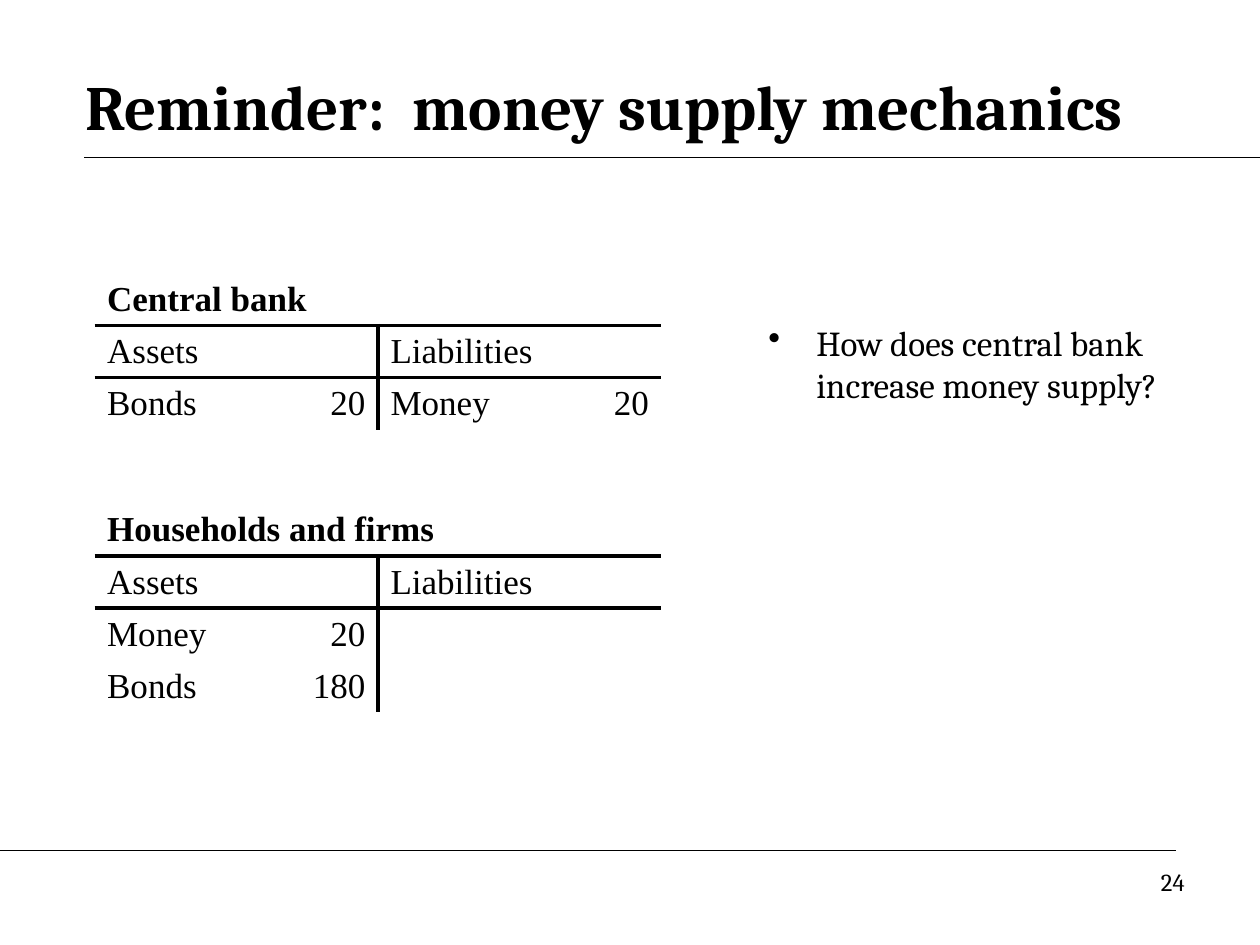
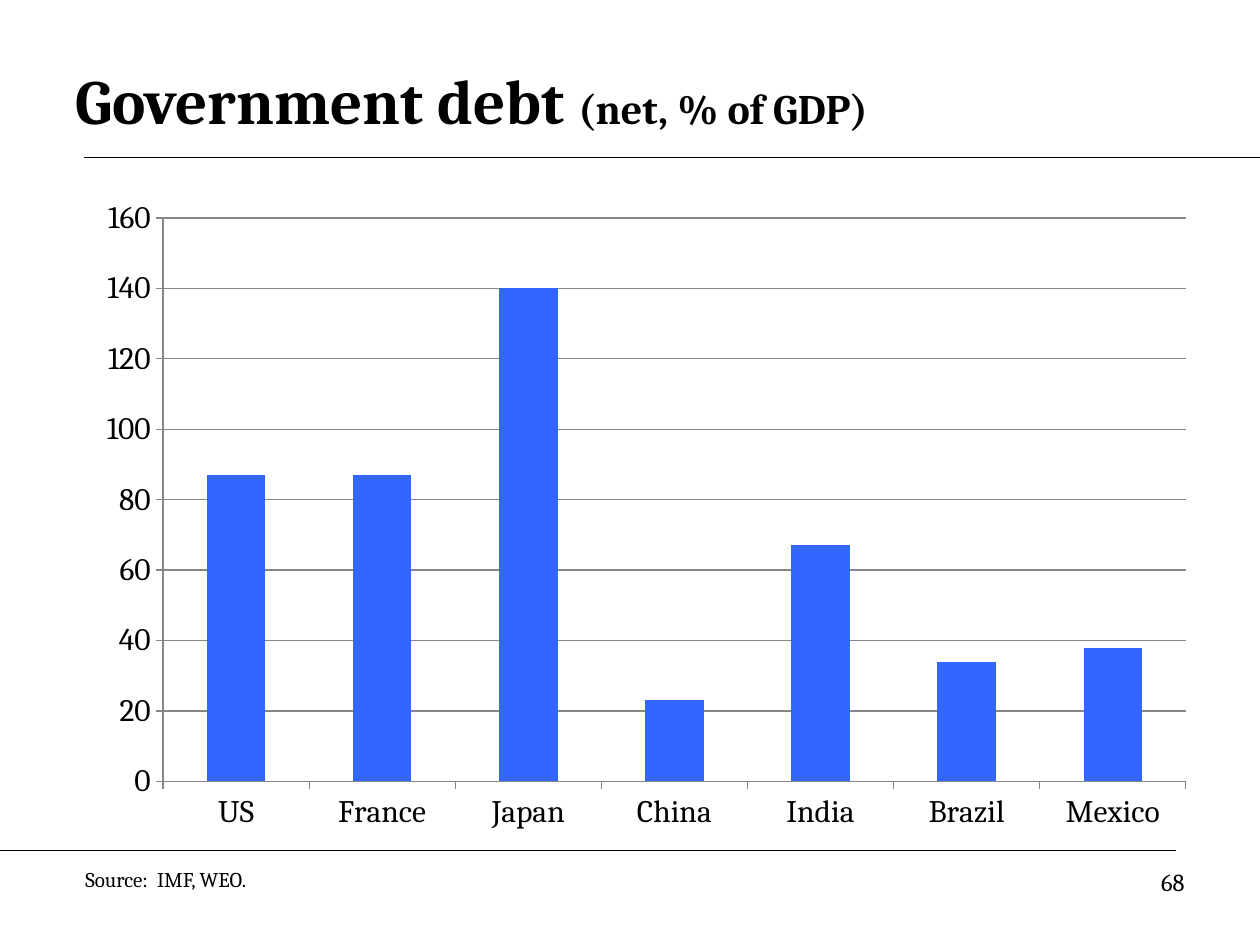
from dataclasses import dataclass

from lxml import etree
from pptx import Presentation
from pptx.chart.data import CategoryChartData
from pptx.dml.color import RGBColor
from pptx.enum.chart import XL_CHART_TYPE, XL_TICK_MARK
from pptx.enum.shapes import MSO_CONNECTOR
from pptx.enum.text import MSO_ANCHOR, PP_ALIGN
from pptx.oxml import parse_xml
from pptx.oxml.ns import nsdecls, qn
from pptx.util import Inches, Pt


@dataclass(frozen=True)
class Theme:
    ink: RGBColor = RGBColor(0x00, 0x00, 0x00)
    bar: RGBColor = RGBColor(0x33, 0x66, 0xFF)
    grid: RGBColor = RGBColor(0x87, 0x87, 0x87)
    font: str = "Cambria"
    table_font: str = "Times New Roman"
    title_size: int = 36
    subtitle_size: int = 24
    body_size: int = 20
    chart_size: int = 18
    number_size: int = 14
    source_size: int = 12
    rule_width: float = 0.75
    border_width: float = 2.25


class Deck:
    """Builds ruled slides in one shared style."""

    def __init__(self, theme):
        self.theme = theme
        self.presentation = Presentation()
        self.presentation.slide_width = Inches(10)
        self.presentation.slide_height = Inches(7.5)
        self.slide = None

    def new_slide(self, number):
        layout = self.presentation.slide_layouts[6]
        self.slide = self.presentation.slides.add_slide(layout)
        self.rule(0.67, 10, 1.25)
        self.rule(0, 9.33, 6.75)
        self.text(str(number), (7.17, 6.83, 2.33, 0.52), self.theme.number_size, PP_ALIGN.RIGHT)

    def rule(self, start, end, top):
        line = self.slide.shapes.add_connector(
            MSO_CONNECTOR.STRAIGHT, Inches(start), Inches(top), Inches(end), Inches(top))
        line.line.color.rgb = self.theme.ink
        line.line.width = Pt(self.theme.rule_width)
        etree.SubElement(line._element.spPr, qn("a:effectLst"))

    def style(self, font, size, name=None, bold=False):
        font.name = name or self.theme.font
        font.size = Pt(size)
        font.bold = bold
        font.color.rgb = self.theme.ink

    def text(self, text, box, size, align=PP_ALIGN.LEFT, bold=False):
        shape = self.slide.shapes.add_textbox(*map(Inches, box))
        shape.text_frame.word_wrap = True
        paragraph = shape.text_frame.paragraphs[0]
        paragraph.text = text
        paragraph.alignment = align
        self.style(paragraph.runs[0].font, size, bold=bold)
        return shape

    def title(self, text, box, subtitle=None):
        shape = self.text(text, box, self.theme.title_size, bold=True)
        shape.text_frame.vertical_anchor = MSO_ANCHOR.MIDDLE
        if subtitle:
            run = shape.text_frame.paragraphs[0].add_run()
            run.text = subtitle
            self.style(run.font, self.theme.subtitle_size, bold=True)

    def bullet(self, text, box):
        shape = self.text(text, box, self.theme.body_size)
        properties = shape.text_frame.paragraphs[0]._p.get_or_add_pPr()
        properties.set("marL", str(Inches(0.38)))
        properties.set("indent", str(-Inches(0.38)))
        etree.SubElement(properties, qn("a:buChar"), char="•")

    def borders(self, cell, shown):
        properties = cell._tc.get_or_add_tcPr()
        for position, side in enumerate("LRTB"):
            paint = "<a:noFill/>"
            if side in shown:
                paint = f'<a:solidFill><a:srgbClr val="{self.theme.ink}"/></a:solidFill>'
            width = Pt(self.theme.border_width)
            properties.insert(position, parse_xml(
                f'<a:ln{side} {nsdecls("a")} w="{width}">{paint}</a:ln{side}>'))

    def balance_sheet(self, top, owner, entries):
        rows = [(owner, "", "", ""), ("Assets", "", "Liabilities", ""), *entries]
        widths = (1.48, 0.77, 1.125, 1.125)
        height = 0.41
        table = self.slide.shapes.add_table(
            len(rows), len(widths), Inches(0.75), Inches(top),
            Inches(sum(widths)), Inches(height * len(rows))).table
        table.first_row = table.horz_banding = False
        for column, width in zip(table.columns, widths):
            column.width = Inches(width)
        for row_index, row in enumerate(rows):
            table.rows[row_index].height = Inches(height)
            for column_index, value in enumerate(row):
                self.sheet_cell(table.cell(row_index, column_index), value,
                                row_index, column_index)
        table.cell(0, 0).merge(table.cell(0, 3))
        table.cell(1, 0).merge(table.cell(1, 1))
        table.cell(1, 2).merge(table.cell(1, 3))

    def sheet_cell(self, cell, value, row, column):
        cell.fill.background()
        cell.margin_top = cell.margin_bottom = Inches(0.04)
        cell.vertical_anchor = MSO_ANCHOR.MIDDLE
        shown = "B" if row < 2 else ""
        if row in (1, 2):
            shown += "T"
        if row and (column == 1 or (row == 1 and column == 0)):
            shown += "R"
        if row and column == 2:
            shown += "L"
        self.borders(cell, shown)
        if value:
            paragraph = cell.text_frame.paragraphs[0]
            paragraph.text = value
            paragraph.alignment = PP_ALIGN.RIGHT if column % 2 else PP_ALIGN.LEFT
            self.style(paragraph.runs[0].font, self.theme.body_size,
                       self.theme.table_font, bold=row == 0)

    def column_chart(self, box, values):
        data = CategoryChartData()
        data.categories = list(values)
        data.add_series("Series 1", list(values.values()))
        chart = self.slide.shapes.add_chart(
            XL_CHART_TYPE.COLUMN_CLUSTERED, *map(Inches, box), data).chart
        chart.has_legend = chart.has_title = False
        self.style(chart.font, self.theme.chart_size)
        plot = chart.plots[0]
        plot.gap_width = 150
        plot.vary_by_categories = False
        fill = plot.series[0].format.fill
        fill.solid()
        fill.fore_color.rgb = self.theme.bar
        value_axis = chart.value_axis
        value_axis.minimum_scale, value_axis.maximum_scale = 0, 160
        value_axis.major_unit = 20
        value_axis.has_major_gridlines = True
        for axis in (chart.category_axis, value_axis):
            axis.major_tick_mark = XL_TICK_MARK.OUTSIDE
        for part in (chart.category_axis, value_axis, value_axis.major_gridlines):
            part.format.line.color.rgb = self.theme.grid
            part.format.line.width = Pt(self.theme.rule_width)
        self.plot_layout(chart, x=0.07, y=0.04, w=0.91, h=0.89)

    def plot_layout(self, chart, **fractions):
        area = chart._chartSpace.chart.plotArea
        for layout in area.findall(qn("c:layout")):
            area.remove(layout)
        modes = '<c:layoutTarget val="inner"/><c:xMode val="edge"/><c:yMode val="edge"/>'
        sizes = "".join(f'<c:{key} val="{value}"/>' for key, value in fractions.items())
        area.insert(0, parse_xml(
            f'<c:layout {nsdecls("c")}><c:manualLayout>{modes}{sizes}'
            "</c:manualLayout></c:layout>"))


def main():
    theme = Theme()
    deck = Deck(theme)

    deck.new_slide(24)
    deck.title("Reminder:  money supply mechanics", (0.58, 0.42, 8.67, 0.83))
    deck.rule(1.25, 10, 1.25)
    deck.rule(0, 7.08, 6.75)
    deck.balance_sheet(2.17, "Central bank", [("Bonds", "20", "Money", "20")])
    deck.balance_sheet(4, "Households and firms",
                       [("Money", "20", "", ""), ("Bonds", "180", "", "")])
    deck.bullet("How does central bank increase money supply?", (6, 2.5, 3.42, 4))

    deck.new_slide(68)
    deck.title("Government debt ", (0.5, 0.33, 9, 0.92), "(net, % of GDP)")
    deck.column_chart((0.67, 1.53, 8.92, 5.06), {
        "US": 87, "France": 87, "Japan": 140, "China": 23,
        "India": 67, "Brazil": 34, "Mexico": 38})
    deck.text("Source:  IMF, WEO.", (0.58, 6.83, 4.83, 0.3), theme.source_size)

    deck.presentation.save("out.pptx")


if __name__ == "__main__":
    main()
